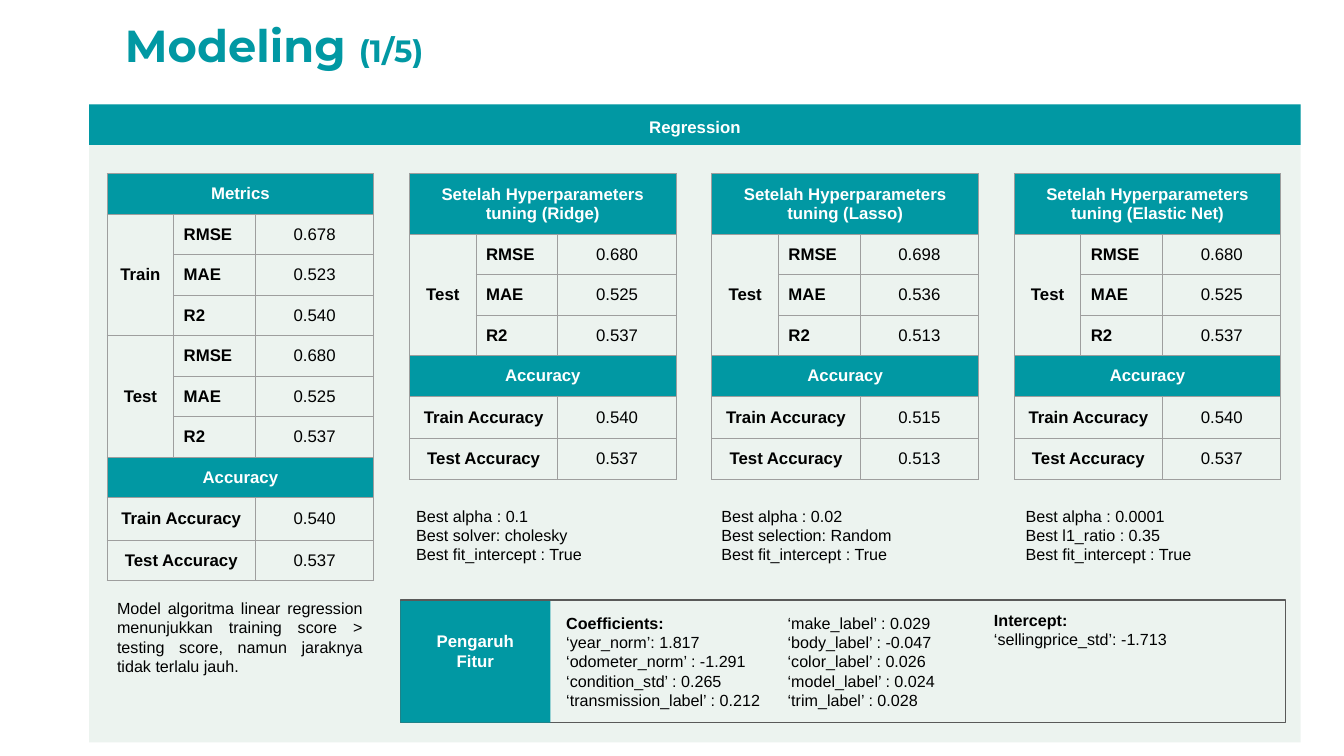
from dataclasses import dataclass

from lxml import etree
from pptx import Presentation
from pptx.dml.color import RGBColor
from pptx.enum.shapes import MSO_SHAPE
from pptx.enum.text import MSO_ANCHOR, PP_ALIGN
from pptx.oxml import parse_xml
from pptx.oxml.ns import nsdecls, qn
from pptx.util import Cm, Pt

RECTANGLE = MSO_SHAPE.RECTANGLE
TOP, MIDDLE = MSO_ANCHOR.TOP, MSO_ANCHOR.MIDDLE
LEFT, CENTER, JUSTIFY = PP_ALIGN.LEFT, PP_ALIGN.CENTER, PP_ALIGN.JUSTIFY


@dataclass(frozen=True)
class Theme:
    teal: str = "0198A3"
    sage: str = "66A482"
    white: str = "FFFFFF"
    black: str = "000000"
    frame: str = "595959"
    grid: str = "9E9E9E"
    heading_font: str = "Montserrat"
    body_font: str = "Arial"
    title: float = 32
    counter: float = 22
    label: float = 12
    note: float = 11.5


theme = Theme()


def write(frame, lines, size, color, align, bold_lines=0):
    for number, line in enumerate(lines):
        paragraph = frame.paragraphs[0] if number == 0 else frame.add_paragraph()
        paragraph.alignment = align
        run = paragraph.add_run()
        run.text = line
        run.font.color.rgb = RGBColor.from_string(color)
        font_format = {"name": theme.body_font, "size": Pt(size), "bold": number < bold_lines}
        for attribute, value in font_format.items():
            setattr(run.font, attribute, value)


def fill_cell(cell, text, color, align, bold):
    cell.vertical_anchor = MIDDLE
    for side in ("left", "right", "top", "bottom"):
        setattr(cell, f"margin_{side}", Cm(0.25))
    write(cell.text_frame, [text], theme.label, color, align, int(bold))


presentation = Presentation()
presentation.slide_width = Cm(33.87)
presentation.slide_height = Cm(19.05)
slide = presentation.slides.add_slide(presentation.slide_layouts[6])

rectangles = [
    (2.25, 2.63, 30.53, 16.08, theme.sage, None, [], 0.25, MIDDLE),
    (10.09, 15.12, 22.3, 3.08, None, theme.frame, [], 0.25, MIDDLE),
    (2.25, 2.63, 30.53, 1.02, theme.teal, None, ["Regression"], 0.25, MIDDLE),
    (10.09, 15.15, 3.78, 3.06, theme.teal, None, ["Pengaruh", "Fitur"], 0.74, TOP),
]
for left, top, width, height, fill, line, lines, inset, anchor in rectangles:
    block = slide.shapes.add_shape(RECTANGLE, Cm(left), Cm(top), Cm(width), Cm(height))
    block.shadow.inherit = False
    if fill:
        block.fill.solid()
        block.fill.fore_color.rgb = RGBColor.from_string(fill)
    else:
        block.fill.background()
    if line:
        block.line.color.rgb = RGBColor.from_string(line)
        block.line.width = Pt(0.75)
    else:
        block.line.fill.background()
    if fill == theme.sage:
        tint = block.fill._xPr.find(qn("a:solidFill"))[0]
        etree.SubElement(tint, qn("a:alpha")).set("val", "12000")
    if lines:
        block.text_frame.margin_top = Cm(inset)
        block.text_frame.vertical_anchor = anchor
        write(block.text_frame, lines, theme.label, theme.white, CENTER, len(lines))

title = slide.shapes.add_textbox(Cm(2.9), Cm(0.28), Cm(20.85), Cm(1.63)).text_frame
title.word_wrap = True
title.paragraphs[0].line_spacing = 1.03
for words, size in (("Modeling ", theme.title), ("(1/5)", theme.counter)):
    run = title.paragraphs[0].add_run()
    run.text = words
    run.font.color.rgb = RGBColor.from_string(theme.teal)
    for attribute, value in {"name": theme.heading_font, "size": Pt(size), "bold": True}.items():
        setattr(run.font, attribute, value)

models = [
    ("Metrics", 1.02,
     {"Train": ("0.678", "0.523", "0.540"), "Test": ("0.680", "0.525", "0.537")},
     ("0.540", "0.537")),
    ("Setelah Hyperparameters tuning (Ridge)", 1.52,
     {"Test": ("0.680", "0.525", "0.537")}, ("0.540", "0.537")),
    ("Setelah Hyperparameters tuning (Lasso)", 1.52,
     {"Test": ("0.698", "0.536", "0.513")}, ("0.515", "0.513")),
    ("Setelah Hyperparameters tuning (Elastic Net)", 1.52,
     {"Test": ("0.680", "0.525", "0.537")}, ("0.540", "0.537")),
]
column_widths = (1.68, 2.06, 2.98)

for position, (heading, heading_height, scores, accuracies) in enumerate(models):
    accuracy_row = 1 + 3 * len(scores)
    row_heights = [heading_height] + [1.02] * accuracy_row + [1.07, 1.02]
    table = slide.shapes.add_table(
        len(row_heights), 3, Cm(2.7 + 7.62 * position), Cm(4.38),
        Cm(sum(column_widths)), Cm(sum(row_heights))).table
    table.first_row = False
    table.horz_banding = False
    for column, width in zip(table.columns, column_widths):
        column.width = Cm(width)
    for row, height in zip(table.rows, row_heights):
        row.height = Cm(height)

    for cell in table.iter_cells():
        for edge in ("lnL", "lnR", "lnT", "lnB"):
            cell._tc.get_or_add_tcPr().append(parse_xml(
                f'<a:{edge} {nsdecls("a")} w="9525"><a:solidFill>'
                f'<a:srgbClr val="{theme.grid}"/></a:solidFill></a:{edge}>'))
        cell.fill.background()

    for row, text in ((0, heading), (accuracy_row, "Accuracy")):
        band = table.cell(row, 0)
        band.merge(table.cell(row, 2))
        band.fill.solid()
        band.fill.fore_color.rgb = RGBColor.from_string(theme.teal)
        fill_cell(band, text, theme.white, CENTER, True)

    for group, (split, values) in enumerate(scores.items()):
        first = 1 + 3 * group
        table.cell(first, 0).merge(table.cell(first + 2, 0))
        fill_cell(table.cell(first, 0), split, theme.black, CENTER, True)
        for row, (metric, value) in enumerate(zip(("RMSE", "MAE", "R2"), values), first):
            fill_cell(table.cell(row, 1), metric, theme.black, LEFT, True)
            fill_cell(table.cell(row, 2), value, theme.black, CENTER, False)

    accuracy_labels = ("Train Accuracy", "Test Accuracy")
    for row, (label, value) in enumerate(zip(accuracy_labels, accuracies), accuracy_row + 1):
        table.cell(row, 0).merge(table.cell(row, 1))
        fill_cell(table.cell(row, 0), label, theme.black, CENTER, True)
        fill_cell(table.cell(row, 2), value, theme.black, CENTER, False)

notes = [
    (2.7, 14.83, 6.69, 2.49, JUSTIFY, 0,
     ["Model algoritma linear regression menunjukkan training score > testing score, "
      "namun jaraknya tidak terlalu jauh."]),
    (10.24, 12.5, 6.69, 1.98, JUSTIFY, 0,
     ["Best alpha : 0.1", "Best solver: cholesky", "Best fit_intercept : True"]),
    (17.93, 12.5, 6.69, 1.98, JUSTIFY, 0,
     ["Best alpha : 0.02", "Best selection: Random", "Best fit_intercept : True"]),
    (25.6, 12.5, 6.69, 1.98, JUSTIFY, 0,
     ["Best alpha : 0.0001", "Best l1_ratio : 0.35", "Best fit_intercept : True"]),
    (14.02, 15.2, 5.5, 2.97, LEFT, 1,
     ["Coefficients:", "‘year_norm’: 1.817", "‘odometer_norm’ : -1.291",
      "‘condition_std’ : 0.265", "‘transmission_label’ : 0.212"]),
    (19.6, 15.2, 5.1, 2.97, LEFT, 0,
     ["‘make_label’ : 0.029", "‘body_label’ : -0.047", "‘color_label’ : 0.026",
      "‘model_label’ : 0.024", "‘trim_label’ : 0.028"]),
    (24.8, 15.12, 5.36, 1.5, LEFT, 1,
     ["Intercept:", "‘sellingprice_std’: -1.713"]),
]
for left, top, width, height, align, bold_lines, lines in notes:
    note = slide.shapes.add_textbox(Cm(left), Cm(top), Cm(width), Cm(height)).text_frame
    note.word_wrap = True
    note.margin_top = note.margin_bottom = Cm(0.25)
    write(note, lines, theme.note, theme.black, align, bold_lines)

presentation.save("out.pptx")
